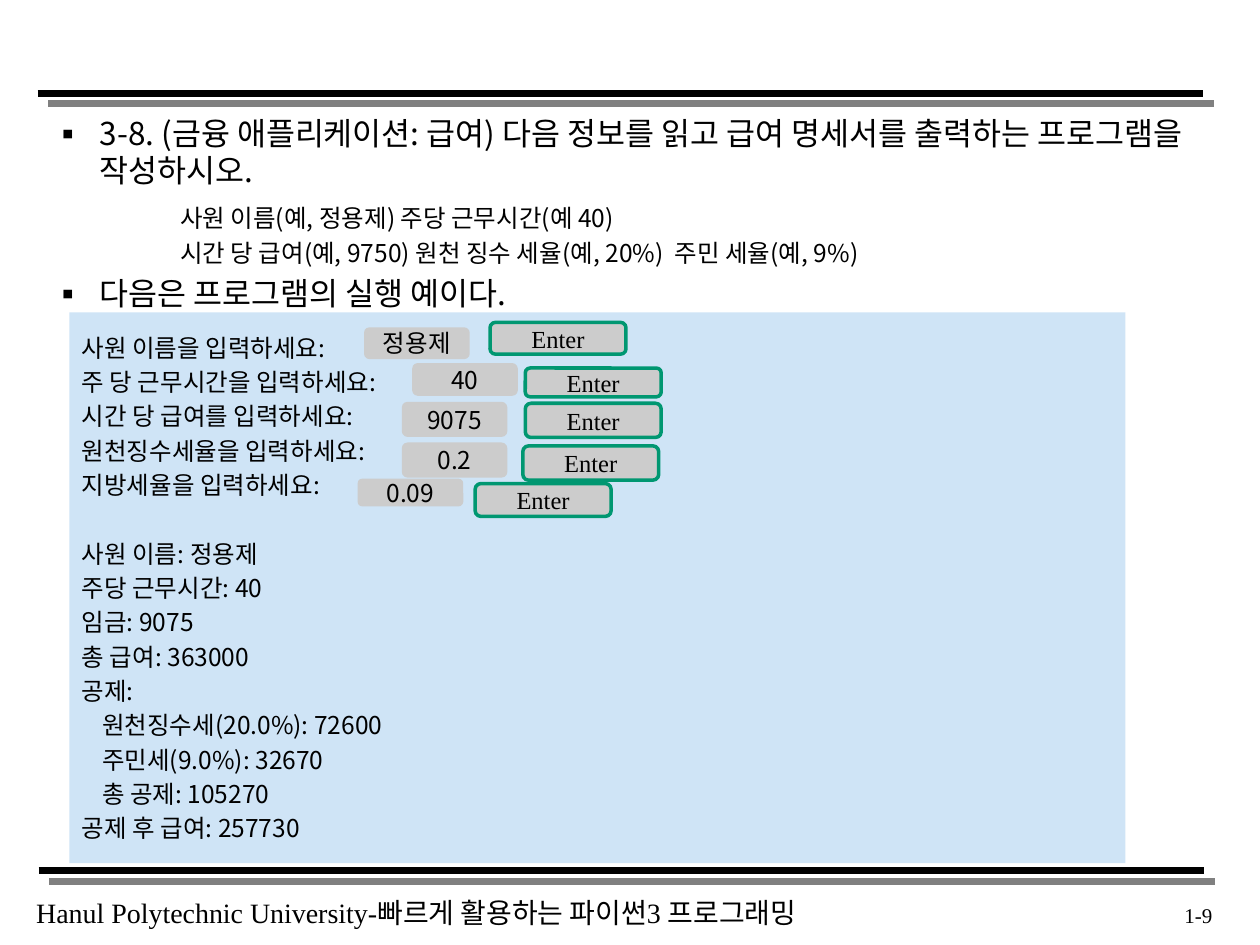
from lxml import etree
from pptx import Presentation
from pptx.dml.color import RGBColor
from pptx.enum.shapes import MSO_CONNECTOR, MSO_SHAPE
from pptx.enum.text import MSO_ANCHOR, PP_ALIGN
from pptx.oxml.ns import qn
from pptx.util import Cm, Pt

RECT, ROUND = MSO_SHAPE.RECTANGLE, MSO_SHAPE.ROUNDED_RECTANGLE
STRAIGHT = MSO_CONNECTOR.STRAIGHT
TOP, MIDDLE = MSO_ANCHOR.TOP, MSO_ANCHOR.MIDDLE
LEFT, CENTER, RIGHT = PP_ALIGN.LEFT, PP_ALIGN.CENTER, PP_ALIGN.RIGHT
SANS, SERIF = "Noto Sans CJK KR", "Times New Roman"
COLORS = {"text": "000000", "rule": "000000", "rule_shadow": "808080",
          "console": "CFE4F6", "key": "CCCCCC", "key_border": "009771"}

EXERCISE = [
    ("3-8. (금융 애플리케이션: 급여) 다음 정보를 읽고 급여 명세서를 출력하는 프로그램을 작성하시오.", True, 0),
    ("사원 이름(예, 정용제) 주당 근무시간(예 40)", False, 7.7),
    ("시간 당 급여(예, 9750) 원천 징수 세율(예, 20%)  주민 세율(예, 9%)", False, 3),
    ("다음은 프로그램의 실행 예이다.", True, 4.4),
]
PROMPTS = ["사원 이름을 입력하세요:", "주 당 근무시간을 입력하세요:", "시간 당 급여를 입력하세요:",
           "원천징수세율을 입력하세요:", "지방세율을 입력하세요:"]
PAYSLIP = ["사원 이름: 정용제", "주당 근무시간: 40", "임금: 9075", "총 급여: 363000", "공제:"]
DEDUCTIONS = ["원천징수세(20.0%): 72600", "주민세(9.0%): 32670", "총 공제: 105270"]
NET_PAY = ["공제 후 급여: 257730"]
INPUTS = [
    ("정용제", (7.34, 6.6, 0.64), (9.88, 6.5, 0.64)),
    ("40", (8.31, 7.32, 0.66), (10.59, 7.42, 0.58)),
    ("9075", (8.1, 8.1, 0.71), (10.59, 8.13, 0.69)),
    ("0.2", (8.1, 8.92, 0.71), (10.54, 8.99, 0.69)),
    ("0.09", (7.21, 9.65, 0.56), (9.58, 9.75, 0.66)),
]


def rgb(name):
    return RGBColor.from_string(COLORS[name])


def add_run(p, text, size, font=SANS):
    r = p.add_run()
    r.text = text
    r.font.size = Pt(size)
    r.font.name = font
    r.font.color.rgb = rgb("text")
    ea = etree.SubElement(r.font._element, qn("a:ea"))
    ea.set("typeface", SANS)


def add_paragraph(tf, first, align=LEFT, before=0, spacing=None):
    p = tf.paragraphs[0] if first else tf.add_paragraph()
    p.alignment = align
    p.space_before = Pt(before)
    if spacing:
        p.line_spacing = Pt(spacing)
    return p


def set_indent(p, left, hanging=0, bullet=None):
    pPr = p._p.get_or_add_pPr()
    pPr.set("marL", str(Cm(left)))
    pPr.set("indent", str(-Cm(hanging)))
    if bullet:
        etree.SubElement(pPr, qn("a:buFont")).set("typeface", SANS)
        etree.SubElement(pPr, qn("a:buChar")).set("char", bullet)


def add_text_box(s, left, top, width, height, wrap=True):
    tf = s.shapes.add_textbox(Cm(left), Cm(top), Cm(width), Cm(height)).text_frame
    tf.word_wrap = wrap
    tf.vertical_anchor = TOP
    return tf


def add_box(s, kind, left, top, width, height, fill, border=None):
    sp = s.shapes.add_shape(kind, Cm(left), Cm(top), Cm(width), Cm(height))
    sp.shadow.inherit = False
    sp.fill.solid()
    sp.fill.fore_color.rgb = rgb(fill)
    if border:
        sp.line.color.rgb = rgb(border)
        sp.line.width = Pt(2)
    else:
        sp.line.fill.background()
    tf = sp.text_frame
    tf.word_wrap = True
    tf.vertical_anchor = MIDDLE
    return tf


def add_key(s, text, place, width, font, border=None):
    left, top, height = place
    tf = add_box(s, ROUND, left, top, width, height, "key", border)
    tf.margin_top = tf.margin_bottom = 0
    add_run(add_paragraph(tf, True, CENTER), text, 14, font)


def add_rule(s, left, top):
    for offset, color in ((0.21, "rule_shadow"), (0, "rule")):
        x, y = left + offset, top + offset
        line = s.shapes.add_connector(STRAIGHT, Cm(x), Cm(y), Cm(x + 23.5), Cm(y))
        line.line.color.rgb = rgb(color)
        line.line.width = Pt(4)
        etree.SubElement(line._element.spPr, qn("a:effectLst"))


def add_footer(s):
    tf = add_text_box(s, 0.48, 17.93, 16.76, 0.94, wrap=False)
    add_run(add_paragraph(tf, True),
            "Hanul Polytechnic University-빠르게 활용하는 파이썬3 프로그래밍", 16, SERIF)
    tf = add_text_box(s, 22.58, 18.06, 2.11, 0.81)
    add_run(add_paragraph(tf, True, RIGHT), "1-9", 12, SERIF)


def add_exercise(s):
    tf = add_text_box(s, 0.81, 2.19, 23.6, 4.1)
    for i, (text, bulleted, before) in enumerate(EXERCISE):
        p = add_paragraph(tf, i == 0, before=before, spacing=21.2 if bulleted else 17)
        if bulleted:
            set_indent(p, 0.95, 0.95, "▪")
        else:
            set_indent(p, 2.57)
        add_run(p, text, 18 if bulleted else 14)


def add_console(s):
    tf = add_box(s, RECT, 1.4, 6.3, 21.29, 11.1, "console")
    for i, text in enumerate(PROMPTS + PAYSLIP + DEDUCTIONS + NET_PAY):
        before = 22.4 if text == PAYSLIP[0] else 2.8
        p = add_paragraph(tf, i == 0, before=before, spacing=16.8)
        if text in DEDUCTIONS:
            set_indent(p, 0.41)
        add_run(p, text, 14)
    for value, value_place, enter_place in INPUTS:
        add_key(s, value, value_place, 2.13, SANS)
        add_key(s, "Enter", enter_place, 2.74, SERIF, "key_border")


def main():
    prs = Presentation()
    prs.slide_width, prs.slide_height = Cm(25.4), Cm(19.05)
    s = prs.slides.add_slide(prs.slide_layouts[6])
    add_rule(s, 0.76, 1.88)
    add_rule(s, 0.78, 17.55)
    add_footer(s)
    add_exercise(s)
    add_console(s)
    prs.save("out.pptx")


if __name__ == "__main__":
    main()
